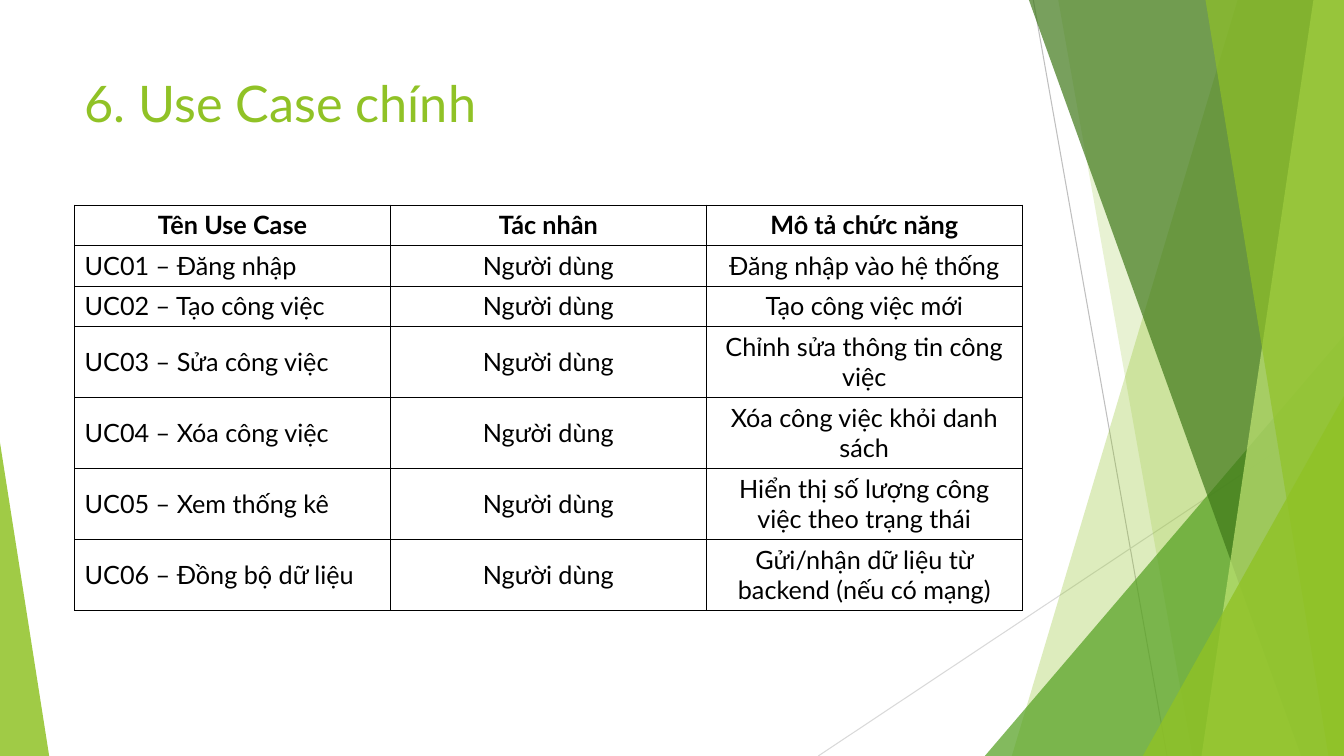
from dataclasses import dataclass

from lxml.etree import SubElement as Sub
from pptx import Presentation
from pptx.dml.color import RGBColor as Rgb
from pptx.enum.shapes import MSO_CONNECTOR as Conn, MSO_SHAPE as Shape
from pptx.enum.text import MSO_ANCHOR as Anchor, PP_ALIGN as Align
from pptx.oxml.ns import qn
from pptx.util import Cm, Pt

# Content
TITLE = "6. Use Case chính"
HEAD = ("Tên Use Case", "Tác nhân", "Mô tả chức năng")
USER = "Người dùng"
CASES = [
    ("UC01 – Đăng nhập", "Đăng nhập vào hệ thống"),
    ("UC02 – Tạo công việc", "Tạo công việc mới"),
    ("UC03 – Sửa công việc", "Chỉnh sửa thông tin công việc"),
    ("UC04 – Xóa công việc", "Xóa công việc khỏi danh sách"),
    ("UC05 – Xem thống kê", "Hiển thị số lượng công việc theo trạng thái"),
    ("UC06 – Đồng bộ dữ liệu", "Gửi/nhận dữ liệu từ backend (nếu có mạng)"),
]
ROWS = [HEAD] + [(name, USER, task) for name, task in CASES]


@dataclass(frozen=True)
class Theme:
    font: str = "Lato"
    title: int = 36
    body: int = 18
    lime: str = "90C226"
    pale: str = "C0E474"
    green: str = "54A021"
    dark: str = "3F7819"
    ink: str = "000000"
    gray: str = "BFBFBF"
    mist: str = "D9D9D9"


T = Theme()

# Layout, in centimetres
WIDE, HIGH = 33.87, 19.05
LEFT, SPAN = 1.88, 23.88
TABLE_TOP, ONE_LINE, TWO_LINES = 5.16, 1.02, 1.79
HEIGHTS = [ONE_LINE] * 3 + [TWO_LINES] * 4

# Lines: start x, start y, end x, end y, colour
LINES = [
    (26.04, 0, 29.41, HIGH, T.gray),
    (WIDE, 10.24, 20.62, HIGH, T.mist),
]
# Bands reach the right edge: x at top, x at foot, colour, opacity
# Peaks stand on the foot: left, top, width, apex, colour, opacity
FACETS = [
    ("band", (31.19, 25.5), T.lime, 30),
    ("band", (26.67, 30.05), T.lime, 20),
    ("peak", (24.82, 8.46, 9.05, 1), T.green, 72),
    ("band", (25.93, 32.79), T.dark, 70),
    ("band", (33.1, 30.28), T.pale, 70),
    ("band", (30.38, 33.48), T.lime, 65),
    ("peak", (28.8, 9.98, 5.07, 1), T.lime, 80),
    ("peak", (0, 11.15, 1.24, 0), T.lime, 85),
]


def add_line(slide, x1, y1, x2, y2, color):
    line = slide.shapes.add_connector(Conn.STRAIGHT, Cm(x1), Cm(y1), Cm(x2), Cm(y2))
    line.line.color.rgb = Rgb.from_string(color)
    line.line.width = Pt(0.75)
    Sub(line.element.spPr, qn("a:effectLst"))


def add_band(slide, top, foot):
    pen = slide.shapes.build_freeform(Cm(top), 0, scale=1.0)
    corners = [(WIDE, 0), (WIDE, HIGH), (foot, HIGH)]
    pen.add_line_segments([(Cm(x), Cm(y)) for x, y in corners], close=True)
    return pen.convert_to_shape()


def add_peak(slide, left, top, width, apex):
    peak = slide.shapes.add_shape(
        Shape.ISOSCELES_TRIANGLE, Cm(left), Cm(top), Cm(width), Cm(HIGH - top))
    peak.adjustments[0] = apex
    return peak


def paint(shape, color, alpha):
    shape.shadow.inherit = False
    shape.line.fill.background()
    shape.fill.solid()
    shape.fill.fore_color.rgb = Rgb.from_string(color)
    tint = shape.element.spPr.find(qn("a:solidFill"))[0]
    Sub(tint, qn("a:alpha"), val=str(alpha * 1000))


def style(para, size, color, bold=False):
    for run in para.runs:
        run.font.name = T.font
        run.font.size = Pt(size)
        run.font.bold = bold
        run.font.color.rgb = Rgb.from_string(color)


def add_title(slide):
    box = slide.shapes.add_textbox(Cm(LEFT), Cm(1.7), Cm(SPAN), Cm(3.66))
    frame = box.text_frame
    frame.word_wrap = True
    frame.text = TITLE
    style(frame.paragraphs[0], T.title, T.lime)


def add_borders(cell):
    props = cell._tc.get_or_add_tcPr()
    for side in ("lnL", "lnR", "lnT", "lnB"):
        edge = Sub(props, qn(f"a:{side}"), w=str(Pt(0.25)))
        fill = Sub(edge, qn("a:solidFill"))
        Sub(fill, qn("a:srgbClr"), val=T.ink)


def add_grid(slide):
    grid = slide.shapes.add_table(
        len(ROWS), len(HEAD), Cm(LEFT), Cm(TABLE_TOP), Cm(SPAN), Cm(sum(HEIGHTS))).table
    grid.first_row = grid.horz_banding = False
    for row, height in zip(grid.rows, HEIGHTS):
        row.height = Cm(height)
    for r, texts in enumerate(ROWS):
        for c, text in enumerate(texts):
            cell = grid.cell(r, c)
            add_borders(cell)
            cell.fill.background()
            cell.vertical_anchor = Anchor.MIDDLE
            cell.text_frame.text = text
            para = cell.text_frame.paragraphs[0]
            para.alignment = Align.LEFT if r and c == 0 else Align.CENTER
            style(para, T.body, T.ink, bold=r == 0)


def main():
    deck = Presentation()
    deck.slide_width, deck.slide_height = Cm(WIDE), Cm(HIGH)
    slide = deck.slides.add_slide(deck.slide_layouts[6])

    # Backdrop
    for line in LINES:
        add_line(slide, *line)
    makers = {"band": add_band, "peak": add_peak}
    for kind, place, color, alpha in FACETS:
        paint(makers[kind](slide, *place), color, alpha)

    # Title and table
    add_title(slide)
    add_grid(slide)
    deck.save("out.pptx")


if __name__ == "__main__":
    main()
